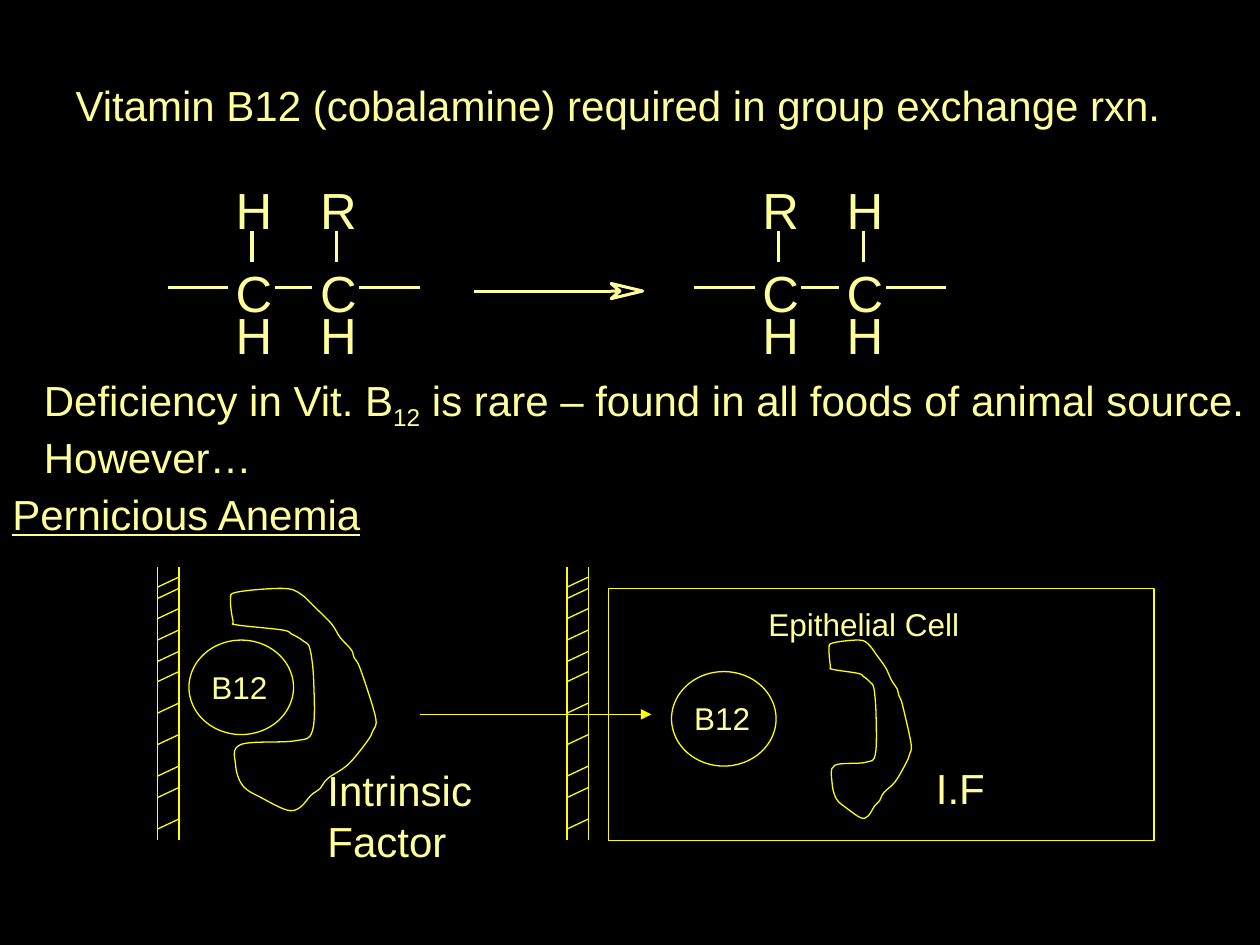
from typing import NamedTuple

from lxml.etree import SubElement
from pptx import Presentation
from pptx.dml.color import RGBColor
from pptx.enum.shapes import MSO_CONNECTOR, MSO_SHAPE
from pptx.enum.text import MSO_ANCHOR, MSO_AUTO_SIZE, PP_ALIGN
from pptx.oxml.ns import qn
from pptx.util import Inches, Pt

BLACK = RGBColor(0x00, 0x00, 0x00)
CREAM = RGBColor(0xFF, 0xFF, 0x99)
YELLOW = RGBColor(0xFF, 0xFF, 0x00)
FONT = "Arial"
UNITS = 1000  # outline units per inch


class Label(NamedTuple):
    text: str
    left: float
    top: float
    width: float
    height: float
    size: float = 24


class Molecule(NamedTuple):
    left: float
    substituents: str


class Factor(NamedTuple):
    left: float
    top: float
    width: float
    height: float


LABELS = [
    Label("Epithelial Cell", 6, 4.75, 1.75, 0.4, 18),
    Label("Intrinsic Factor", 2.5, 6.02, 1.92, 0.9),
    Label("I.F", 7.33, 6, 1.25, 0.5),
]
MOLECULES = [Molecule(1.33, "HR"), Molecule(5.51, "RH")]
WALLS = [1.25, 4.5]
HATCHES = [4.58, 4.67, 4.83, 5, 5.17, 5.33, 5.58, 5.83, 6.08, 6.25, 6.5]
VITAMINS = [(1.5, 5.08), (5.33, 5.33)]
FACTORS = [Factor(1.83, 4.67, 1.15, 1.77), Factor(6.58, 5.08, 0.65, 1.42)]

# Outline of the intrinsic factor, in inches from its own top left corner
FACTOR_OUTLINE = [
    (0.05, 0.29), (0.41, 0.33), (0.48, 0.36), (0.52, 0.38), (0.58, 0.42),
    (0.63, 0.48), (0.66, 0.74), (0.65, 1.13), (0.51, 1.21), (0.08, 1.24),
    (0.04, 1.40), (0.10, 1.57), (0.26, 1.67), (0.45, 1.76), (0.55, 1.74),
    (0.64, 1.64), (0.71, 1.59), (0.77, 1.51), (0.93, 1.40), (1.08, 1.22),
    (1.13, 1.13), (1.15, 1.02), (1.03, 0.64), (0.98, 0.55), (0.96, 0.49),
    (0.87, 0.39), (0.80, 0.28), (0.68, 0.16), (0.55, 0.04), (0.41, 0.00),
    (0.05, 0.03), (0.00, 0.09), (0.02, 0.26),
]


def format_text(tf, size: float) -> None:
    tf.word_wrap = True
    tf.auto_size = MSO_AUTO_SIZE.NONE
    tf.vertical_anchor = MSO_ANCHOR.TOP
    for p in tf.paragraphs:
        p.alignment = PP_ALIGN.LEFT
        p.font.name, p.font.size = FONT, Pt(size)
        p.font.color.rgb = CREAM


def add_label(s, label: Label):
    tf = s.shapes.add_textbox(*map(Inches, label[1:5])).text_frame
    tf.text = label.text
    format_text(tf, label.size)
    return tf


def add_line(s, x1: float, y1: float, x2: float, y2: float,
             color: RGBColor = YELLOW, width: float = 0.75):
    line = s.shapes.add_connector(MSO_CONNECTOR.STRAIGHT,
                                  *map(Inches, (x1, y1, x2, y2)))
    line.line.color.rgb = color
    line.line.width = Pt(width)
    SubElement(line._element.spPr, qn("a:effectLst"))
    return line


def set_outline(sp, color: RGBColor = YELLOW, width: float = 0.75) -> None:
    sp.shadow.inherit = False
    sp.fill.background()
    sp.line.color.rgb = color
    sp.line.width = Pt(width)


def add_outline(s, points: list[tuple[float, float]]):
    units = [(round(x * UNITS), round(y * UNITS)) for x, y in points]
    builder = s.shapes.build_freeform(*units[0], scale=Inches(1) / UNITS)
    builder.add_line_segments(units[1:], close=True)
    return builder.convert_to_shape()


def round_outline(sp) -> None:
    """Turn the straight sides of a closed outline into smooth curves."""
    outline = next(sp._element.iter(qn("a:path")))
    points = [(int(pt.get("x")), int(pt.get("y")))
              for pt in outline.iter(qn("a:pt"))]
    if points[-1] == points[0]:
        points.pop()
    for side in outline.findall(qn("a:lnTo")):
        outline.remove(side)
    close = outline.find(qn("a:close"))
    n = len(points)
    for i in range(n):
        before, start, end, after = (points[(i + k) % n] for k in (-1, 0, 1, 2))
        control_1 = [b + (c - a) / 6 for a, b, c in zip(before, start, end)]
        control_2 = [c - (d - b) / 6 for b, c, d in zip(start, end, after)]
        curve = SubElement(outline, qn("a:cubicBezTo"))
        for x, y in (control_1, control_2, end):
            SubElement(curve, qn("a:pt"), x=str(round(x)), y=str(round(y)))
        close.addprevious(curve)


def add_factor(s, f: Factor) -> None:
    sx, sy = f.width / FACTORS[0].width, f.height / FACTORS[0].height
    sp = add_outline(s, [(f.left + x * sx, f.top + y * sy)
                         for x, y in FACTOR_OUTLINE])
    round_outline(sp)
    set_outline(sp)


def add_wall(s, left: float) -> None:
    right = left + 0.17
    for x in (left, right):
        add_line(s, x, 4.5, x, 6.67)
    for y in HATCHES:
        add_line(s, right, y, left, y + 0.08)


def add_vitamin(s, left: float, top: float) -> None:
    circle = s.shapes.add_shape(MSO_SHAPE.OVAL,
                                *map(Inches, (left, top, 0.83, 0.75)))
    set_outline(circle)
    add_label(s, Label("B12", left + 0.08, top + 0.17, 0.75, 0.4, 18))


def add_molecule(s, m: Molecule) -> None:
    for i, group in enumerate(m.substituents):
        x = m.left + 0.54 + 0.67 * i
        for atom, y in ((group, 1.42), ("C", 2.08), ("H", 2.41)):
            tf = add_label(s, Label(atom, x, y, 0.29, 0.48, 29))
            tf.margin_left = tf.margin_right = 0
            tf.margin_top = tf.margin_bottom = 0
            tf.word_wrap = False
        add_line(s, x + 0.13, 2.08, x + 0.13, 1.83, CREAM, 1.75)
    for start, end in ((0, 0.48), (0.85, 1.15), (1.52, 2)):
        add_line(s, m.left + start, 2.28, m.left + end, 2.28, CREAM, 1.75)


def main() -> None:
    prs = Presentation()
    prs.slide_width, prs.slide_height = Inches(10), Inches(7.5)
    s = prs.slides.add_slide(prs.slide_layouts[5])
    s.background.fill.solid()
    s.background.fill.fore_color.rgb = BLACK

    # Title
    title = s.shapes.title
    title.left, title.top = Inches(0.5), Inches(0.58)
    title.width, title.height = Inches(8.92), Inches(0.5)
    title.text_frame.text = "Vitamin B12 (cobalamine) required in group exchange rxn."
    format_text(title.text_frame, 24)

    # Deficiency statement with a subscript, and the underlined heading
    tf = add_label(s, Label("Deficiency in Vit. B", 0.25, 2.92, 10, 0.9))
    p = tf.paragraphs[0]
    r = p.add_run()
    r.text = "12"
    r.font._element.set("baseline", "-25000")
    p.add_run().text = " is rare – found in all foods of animal source. However…"
    heading = add_label(s, Label("Pernicious Anemia", 0, 3.83, 3.75, 0.5))
    heading.paragraphs[0].font.underline = True

    # Group exchange reaction
    for molecule in MOLECULES:
        add_molecule(s, molecule)
    add_line(s, 3.76, 2.31, 4.85, 2.31, CREAM, 1.75)
    head = add_outline(s, [(4.85, 2.31), (4.92, 2.31), (4.85, 2.25),
                           (5.1, 2.31), (4.85, 2.37), (4.92, 2.31)])
    set_outline(head, CREAM, 1.75)
    head.fill.solid()
    head.fill.fore_color.rgb = BLACK

    # Uptake of the vitamin into the epithelial cell
    cell = s.shapes.add_shape(MSO_SHAPE.RECTANGLE,
                              *map(Inches, (4.83, 4.67, 4.33, 2)))
    set_outline(cell)
    for left in WALLS:
        add_wall(s, left)
    for left, top in VITAMINS:
        add_vitamin(s, left, top)
    for factor in FACTORS:
        add_factor(s, factor)
    uptake = add_line(s, 3.33, 5.67, 5.17, 5.67)
    SubElement(uptake.line._get_or_add_ln(), qn("a:tailEnd"), type="triangle")
    for label in LABELS:
        add_label(s, label)

    prs.save("out.pptx")


if __name__ == "__main__":
    main()
